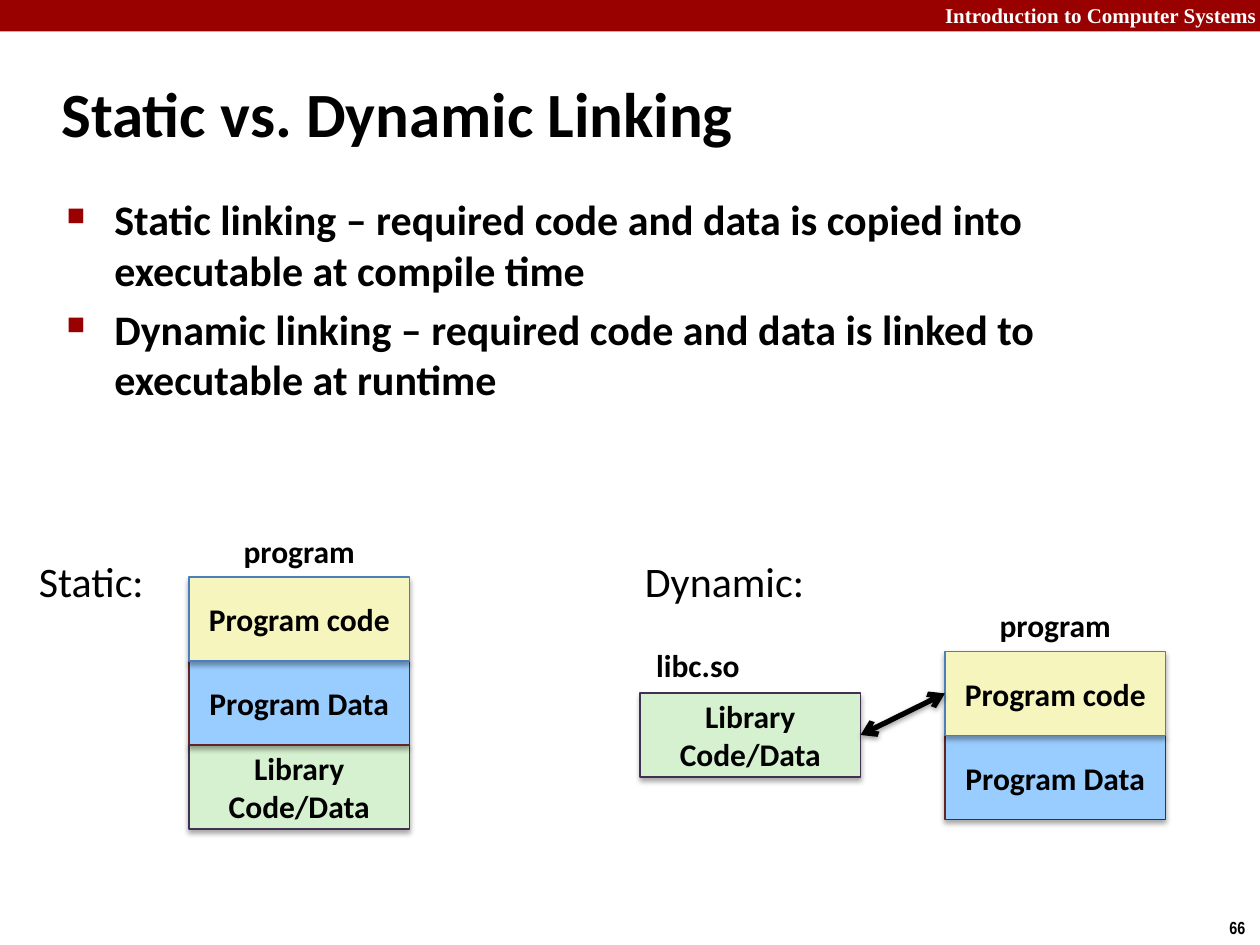
from lxml import etree
from pptx import Presentation, util as u
from pptx.dml.color import RGBColor
from pptx.enum import shapes, text
from pptx.oxml import ns

BLACK = RGBColor(0, 0, 0)
WHITE = RGBColor(255, 255, 255)
CRIMSON = RGBColor(0x99, 0, 0)
CODE = RGBColor(0xF6, 0xF5, 0xBD), RGBColor(0x4B, 0x7E, 0xBC)
DATA = RGBColor(0x99, 0xCC, 0xFF), RGBColor(0x63, 0x25, 0x23)
LIBRARY = RGBColor(0xD5, 0xF1, 0xCF), RGBColor(0x40, 0x31, 0x52)

HEADING = {"name": "Calibri", "size": u.Pt(36), "bold": True}
BODY = {"name": "Calibri", "size": u.Pt(24), "bold": True}
CAPTION = {"name": "Calibri", "size": u.Pt(24), "bold": False}
LABEL = {"name": "Calibri", "size": u.Pt(18), "bold": True}
COURSE = {"name": "Times New Roman", "size": u.Pt(12), "bold": True}
PAGE = {"name": "Arial Narrow", "size": u.Pt(10), "bold": True}

LEFT, CENTER, RIGHT = text.PP_ALIGN.LEFT, text.PP_ALIGN.CENTER, text.PP_ALIGN.RIGHT
BOX_WIDTH, BOX_HEIGHT = 1.75, 2 / 3


def add_xml(parent, tag, **attributes):
    return etree.SubElement(parent, ns.qn(tag), attributes)


class LinkingSlide:
    def __init__(self, slide):
        self.shapes = slide.shapes

    def fill_paragraph(self, paragraph, words, style, color=BLACK, align=LEFT):
        paragraph.text = words
        paragraph.alignment = align
        for name, value in style.items():
            setattr(paragraph.font, name, value)
        paragraph.font.color.rgb = color

    def frame(self, area, wrap=True):
        frame = self.shapes.add_textbox(*map(u.Inches, area)).text_frame
        frame.word_wrap = wrap
        return frame

    def text(self, words, area, style, color=BLACK, align=LEFT, wrap=True):
        frame = self.frame(area, wrap)
        self.fill_paragraph(frame.paragraphs[0], words, style, color, align)
        return frame

    def bullets(self, items, area):
        frame = self.frame(area)
        for index, words in enumerate(items):
            paragraph = frame.add_paragraph() if index else frame.paragraphs[0]
            if index:
                paragraph.space_before = u.Pt(4.8)
            properties = paragraph._p.get_or_add_pPr()
            properties.set("marL", str(u.Inches(0.38)))
            properties.set("indent", str(u.Inches(-0.38)))
            add_xml(add_xml(properties, "a:buClr"), "a:srgbClr", val=str(CRIMSON))
            add_xml(properties, "a:buSzPct", val="60000")
            add_xml(properties, "a:buChar", char="■")
            self.fill_paragraph(paragraph, words, BODY)

    def rectangle(self, area, fill):
        box = self.shapes.add_shape(shapes.MSO_SHAPE.RECTANGLE, *map(u.Inches, area))
        box.shadow.inherit = False
        box.fill.solid()
        box.fill.fore_color.rgb = fill
        box.line.fill.background()
        return box

    def shade(self, properties, opacity, distance):
        effects = properties.find(ns.qn("a:effectLst"))
        if effects is None:
            effects = add_xml(properties, "a:effectLst")
        shadow = add_xml(effects, "a:outerShdw", blurRad=str(u.Pt(3.1)),
                         dist=str(u.Pt(distance)), dir="5400000", rotWithShape="0")
        black = add_xml(shadow, "a:srgbClr", val=str(BLACK))
        add_xml(black, "a:alpha", val=str(opacity * 1000))

    def segment(self, words, left, top, colors):
        fill, outline = colors
        box = self.rectangle((left, top, BOX_WIDTH, BOX_HEIGHT), fill)
        box.line.color.rgb = outline
        box.line.width = u.Pt(0.75)
        self.shade(box._element.spPr, 35, 1.8)
        box.text_frame.word_wrap = True
        box.text_frame.vertical_anchor = text.MSO_ANCHOR.MIDDLE
        self.fill_paragraph(box.text_frame.paragraphs[0], words, LABEL, align=CENTER)

    def program(self, left, top, segments):
        for row, (words, colors) in reversed(list(enumerate(segments))):
            self.segment(words, left, top + row * BOX_HEIGHT, colors)
        self.text("program", (left, top - 0.41, BOX_WIDTH, 0.4), LABEL, align=CENTER)

    def double_arrow(self, start, end):
        arrow = self.shapes.add_connector(
            shapes.MSO_CONNECTOR.STRAIGHT, *map(u.Inches, start + end))
        arrow.line.color.rgb = BLACK
        arrow.line.width = u.Pt(3)
        for tag in ("a:headEnd", "a:tailEnd"):
            add_xml(arrow.line._get_or_add_ln(), tag, type="arrow")
        self.shade(arrow._element.spPr, 38, 1.6)


def main():
    deck = Presentation()
    deck.slide_width, deck.slide_height = u.Inches(10), u.Inches(7.5)
    page = LinkingSlide(deck.slides.add_slide(deck.slide_layouts[6]))

    page.rectangle((0, 0, 10, 0.25), CRIMSON)
    page.text("Introduction to Computer Systems", (6, -0.03, 4.07, 0.3),
              COURSE, WHITE, RIGHT)
    page.text("66", (9.66, 7.23, 0.34, 0.27), PAGE, wrap=False)
    title = page.text("Static vs. Dynamic Linking", (0.39, 0.48, 8.3, 0.83), HEADING)
    title.vertical_anchor = text.MSO_ANCHOR.MIDDLE
    page.bullets([
        "Static linking – required code and data is copied into executable at compile time",
        "Dynamic linking – required code and data is linked to executable at runtime",
    ], (0.43, 1.49, 8.64, 5.44))

    program_parts = [("Program code", CODE), ("Program Data", DATA)]
    library = ("Library Code/Data", LIBRARY)
    page.text("Static:", (0.21, 4.36, 1.05, 0.5), CAPTION, wrap=False)
    page.program(1.5, 4.58, program_parts + [library])

    page.text("Dynamic:", (5.02, 4.36, 1.48, 0.5), CAPTION, wrap=False)
    page.text("libc.so", (5.11, 5.08, 0.87, 0.4), LABEL, wrap=False)
    library_left, library_top = 5.08, 5.5
    program_left, program_top = 7.5, 5.17
    page.segment(library[0], library_left, library_top, LIBRARY)
    page.program(program_left, program_top, program_parts)
    page.double_arrow((program_left, program_top + BOX_HEIGHT / 2),
                      (library_left + BOX_WIDTH, library_top + BOX_HEIGHT / 2))

    deck.save("out.pptx")


if __name__ == "__main__":
    main()
